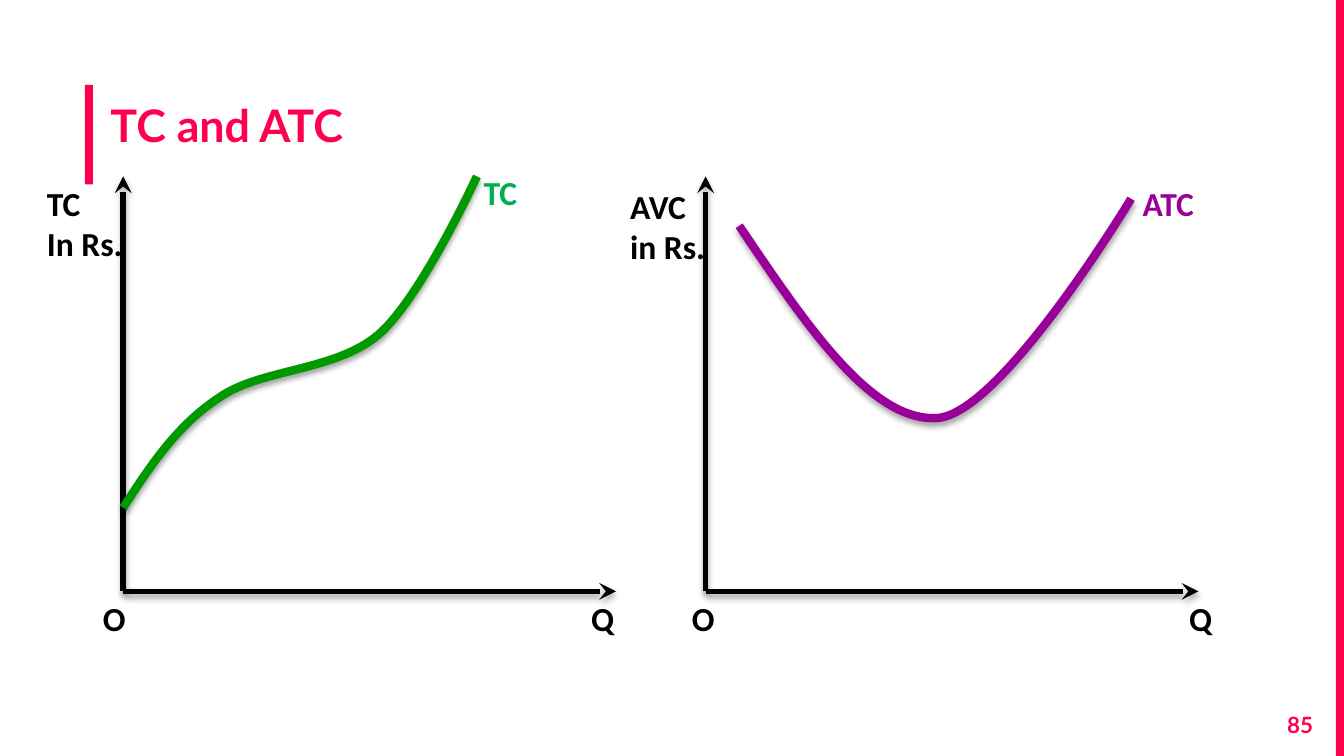
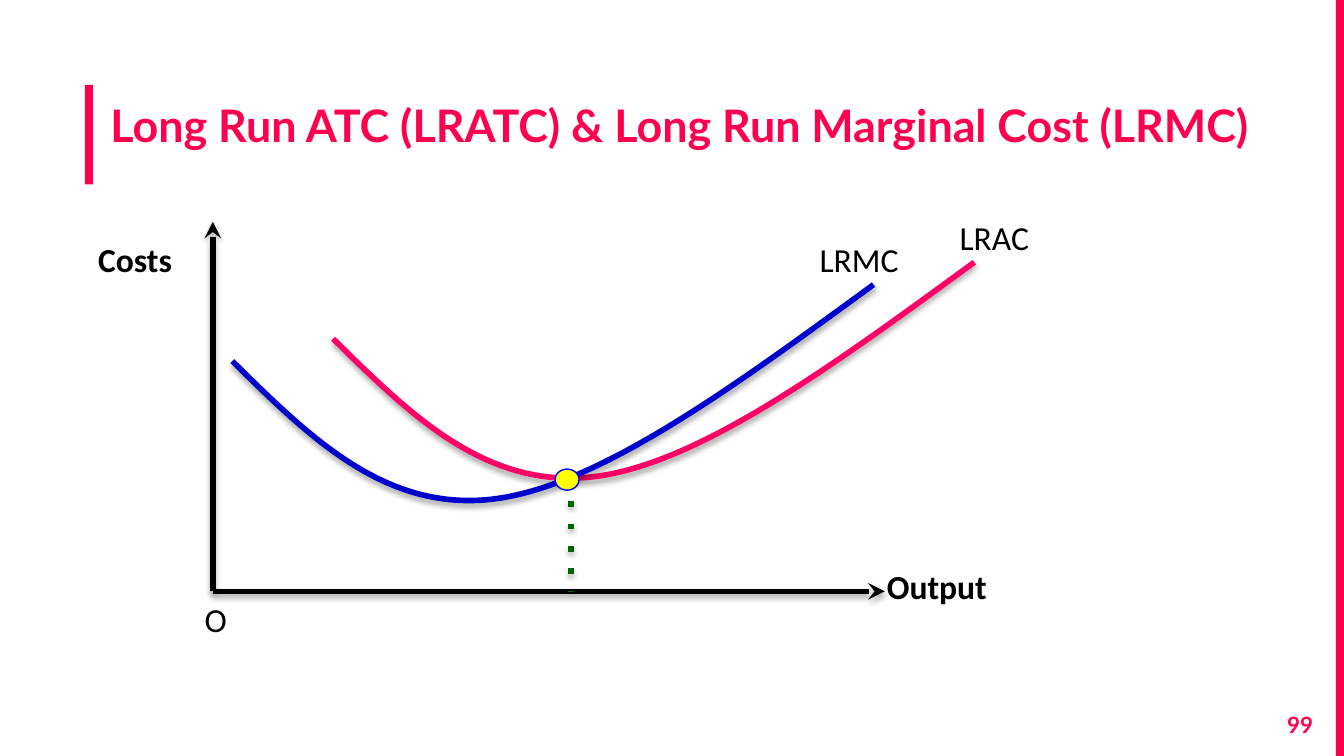
from lxml import etree
from pptx import Presentation
from pptx.dml.color import RGBColor
from pptx.enum import shapes as kinds, text as txt
from pptx.oxml import ns
from pptx.util import Pt

# Shared look
HUES = {
    "brand": "FF004E", "ink": "000000", "tc": "009900", "tag": "00B050",
    "atc": "990099", "lrac": "FF0066", "lrmc": "0000CC", "drop": "006600",
    "dot": "FFFF00", "rim": "0000FF",
}
HEAD = {"name": "Lato", "size": Pt(24), "bold": True}
FOOT = {"name": "Lato", "size": Pt(12), "bold": True}
BOLD = {"name": "Calibri", "size": Pt(18), "bold": True}
PLAIN = {"name": "Calibri", "size": Pt(18), "bold": False}
INSET = {"margin_left": Pt(7.2), "margin_right": 0,
         "margin_top": Pt(3.6), "margin_bottom": Pt(3.6)}
BANDS = [(45.5, 45.5, 4.3, 53.3), (715.7, 0, 4.3, 405)]
BASE = 316.8  # height of every horizontal axis


def hue(name):
    return RGBColor.from_string(HUES[name])


def assign(obj, vals):
    for key, val in vals.items():
        setattr(obj, key, val)


def sub(node, tag, **vals):
    return etree.SubElement(node, ns.qn(tag), vals)


# Text
def write(frame, lines, font, tint, align=txt.PP_ALIGN.LEFT):
    assign(frame, {"word_wrap": True, "auto_size": txt.MSO_AUTO_SIZE.NONE, **INSET})
    for i, line in enumerate(lines.split("\n")):
        para = frame.paragraphs[0] if i == 0 else frame.add_paragraph()
        para.alignment = align
        run = para.add_run()
        run.text = line
        assign(run.font, font)
        run.font.color.rgb = hue(tint)


def label(slide, words, x, y, w, font=BOLD, tint="ink"):
    tall = 28.8 + 22.3 * words.count("\n")
    box = slide.shapes.add_textbox(Pt(x), Pt(y), Pt(w), Pt(tall))
    write(box.text_frame, words, font, tint)


# Lines and curves
def style(shape, tint, width):
    """Colour a line and give it a soft shadow straight below."""
    shape.line.color.rgb = hue(tint)
    shape.line.width = Pt(width)
    glow = sub(sub(shape._element.spPr, "a:effectLst"), "a:outerShdw",
               blurRad=str(Pt(3.1)), dist=str(Pt(1.8)), dir="5400000", rotWithShape="0")
    sub(sub(glow, "a:srgbClr", val=HUES["ink"]), "a:alpha", val="35000")


def rule(slide, start, end, tint, tag, kind):
    ends = [Pt(v) for v in (*start, *end)]
    line = slide.shapes.add_connector(kinds.MSO_CONNECTOR.STRAIGHT, *ends)
    style(line, tint, 3)
    sub(line.line._get_or_add_ln(), tag, **kind)


def axes(slide, x, top, wide):
    for end in [(x, top), (x + wide, BASE)]:
        rule(slide, (x, BASE), end, "ink", "a:tailEnd", {"type": "stealth"})


def curve(slide, spots, tint, width, dx=0, dy=0):
    """Draw a start point followed by triples of Bezier points."""
    pts = [(Pt(x + dx), Pt(y + dy)) for x, y in spots]
    form = slide.shapes.build_freeform(*pts[0])
    form.add_line_segments(pts[1:], close=False)
    shape = form.convert_to_shape()
    shape.fill.background()
    style(shape, tint, width)
    legs = list(shape._element.iter(ns.qn("a:lnTo")))
    track = legs[0].getparent()
    for i in range(0, len(legs), 3):
        bend = sub(track, "a:cubicBezTo")
        for leg in legs[i:i + 3]:
            bend.append(leg[0])
            track.remove(leg)


# Filled shapes and slide frame
def solid(slide, kind, area, tint, rim=None):
    shape = slide.shapes.add_shape(kind, *[Pt(v) for v in area])
    shape.shadow.inherit = False
    shape.fill.solid()
    shape.fill.fore_color.rgb = hue(tint)
    if rim:
        shape.line.color.rgb = hue(rim)
        shape.line.width = Pt(0.75)
    else:
        shape.line.fill.background()


def page(deck, title, num):
    slide = deck.slides.add_slide(deck.slide_layouts[5])
    for band in BANDS:
        solid(slide, kinds.MSO_SHAPE.RECTANGLE, band, "brand")
    head = slide.shapes.title
    assign(head, {"left": Pt(52), "top": Pt(33), "width": Pt(655), "height": Pt(67.7)})
    write(head.text_frame, title, HEAD, "brand")
    head.text_frame.vertical_anchor = txt.MSO_ANCHOR.MIDDLE
    foot = slide.shapes.add_textbox(Pt(667.5), Pt(373.7), Pt(43), Pt(31))
    write(foot.text_frame, num, FOOT, "brand", txt.PP_ALIGN.RIGHT)
    assign(foot.text_frame, {"margin_right": Pt(7.2), "margin_top": Pt(7.2)})
    return slide


# Slides
def total(deck):
    slide = page(deck, "TC and ATC", "85")
    for x in (66, 378):
        axes(slide, x, 94.5, 264)
    for words, x, y, w in [
        ("TC\nIn Rs.", 18, 94.5, 57), ("AVC\nin Rs.", 330.5, 95.8, 57),
        ("O", 48, BASE, 27), ("Q", 309.6, BASE, 27),
        ("O", 363.6, BASE, 27), ("Q", 630, BASE, 27),
    ]:
        label(slide, words, x, y, w)
    curve(slide, [(66, 272), (80, 250.5), (94.5, 228), (117.5, 213),
                  (139.5, 197.5), (179.5, 199), (202.5, 179.5),
                  (225.5, 160), (255.5, 94.5), (255.5, 94.5)], "tc", 4.5)
    curve(slide, [(396, 121), (431.5, 173.5), (466.5, 226), (502, 224),
                  (536.5, 222), (606, 106.5), (606, 106.5)], "atc", 4.5)
    label(slide, "TC", 252, 88.6, 33, tint="tag")
    label(slide, "ATC", 605, 94.5, 43, tint="atc")


def longrun(deck):
    slide = page(deck, "Long Run ATC (LRATC) & Long Run Marginal Cost (LRMC)", "99")
    axes(slide, 114, 118.8, 360)
    bowl = [(178.5, 181.5), (219.5, 222), (260, 262), (317.5, 255.5),
            (374.5, 249), (448, 194.5), (522, 140.5)]
    curve(slide, bowl, "lrac", 3)
    curve(slide, bowl, "lrmc", 3, dx=-54, dy=12)
    for words, x, y, w, font in [
        ("LRMC", 432, 124.5, 58, PLAIN), ("LRAC", 507, 112.5, 52, PLAIN),
        ("Costs", 45.5, 124.5, 68, BOLD), ("O", 102.5, 317.5, 27, PLAIN),
        ("Output", 468, 299.5, 68, BOLD),
    ]:
        label(slide, words, x, y, w, font)
    rule(slide, (306, 256.5), (306, BASE), "drop", "a:prstDash", {"val": "dot"})
    solid(slide, kinds.MSO_SHAPE.OVAL, (297.4, 251.3, 12.8, 11.3), "dot", "rim")


def main():
    deck = Presentation()
    assign(deck, {"slide_width": Pt(720), "slide_height": Pt(405)})
    total(deck)
    longrun(deck)
    deck.save("out.pptx")


if __name__ == "__main__":
    main()
